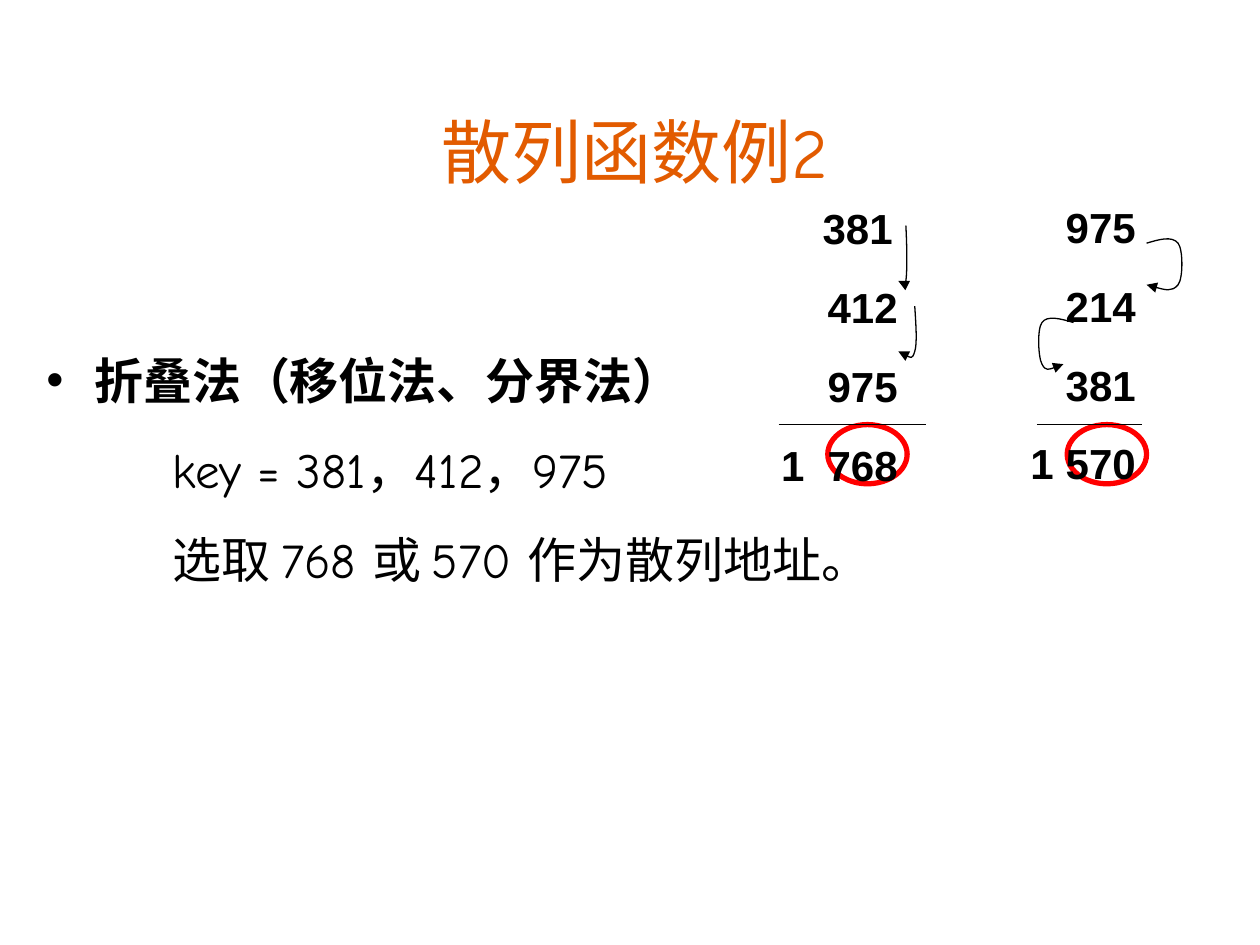
"""Build the slide on folding as a hash function, with two worked sums."""
from lxml.etree import SubElement
from pptx import Presentation
from pptx.dml.color import RGBColor
from pptx.enum.shapes import MSO_CONNECTOR as Connector, MSO_SHAPE as Shape
from pptx.enum.text import MSO_ANCHOR as Anchor, MSO_AUTO_SIZE as AutoSize, PP_ALIGN as Align
from pptx.oxml.ns import qn
from pptx.util import Inches, Pt


def color(value):
    """Turn a hex string into a colour."""
    return RGBColor.from_string(value)


def write(para, text, size=24, font="Arial", fill="000000", bold=False,
          before=0, align=Align.LEFT, margin=0, indent=0, bullet=None):
    """Write one formatted paragraph."""
    props = para._p.get_or_add_pPr()
    props.set("marL", str(Inches(margin)))
    props.set("indent", str(Inches(indent)))
    if bullet:
        SubElement(props, qn("a:buFont")).set("typeface", "Arial")
        SubElement(props, qn("a:buChar")).set("char", bullet)
    para.alignment = align
    para.space_before = Pt(before)
    span = para.add_run()
    span.text = text
    span.font.size = Pt(size)
    span.font.name = font
    span.font.bold = bold
    span.font.color.rgb = color(fill)


deck = Presentation()
deck.slide_width, deck.slide_height = Inches(10), Inches(7.5)
page = deck.slides.add_slide(deck.slide_layouts[5])
shapes = page.shapes

title = shapes.title
title.left, title.top = Inches(0.75), Inches(0.75)
title.width, title.height = Inches(8.58), Inches(0.83)
title.text_frame.auto_size = AutoSize.NONE
title.text_frame.vertical_anchor = Anchor.BOTTOM
write(title.text_frame.paragraphs[0], "散列函数例2", size=40,
      font="Comic Neue", fill="E25B00", align=Align.CENTER)

body = shapes.add_textbox(Inches(0.27), Inches(2.73), Inches(9.73), Inches(4.95))
frame = body.text_frame
frame.word_wrap = True
write(frame.paragraphs[0], "折叠法（移位法、分界法）", size=28, font="Comic Neue",
      bold=True, margin=0.38, indent=-0.38, bullet="•")
for text in ("key = 381，412，975", "选取 768 或 570 作为散列地址。"):
    write(frame.add_paragraph(), text, size=28, font="Comic Neue",
          before=17.5, margin=1.25, indent=-0.25)

for left in (6.57, 8.47):
    ring = shapes.add_shape(Shape.OVAL, Inches(left), Inches(3.37), Inches(0.63), Inches(0.47))
    ring.shadow.inherit = False
    ring.fill.solid()
    ring.fill.fore_color.rgb = color("FFFFFF")
    ring.line.color.rgb = color("FF0000")
    ring.line.width = Pt(3)

sums = [
    (6.1, 1.56, 2.15, ["381", "412", "975", "1\t768"], [0.33, 0.37, 0.37, 0.37], 0.37),
    (7.99, 1.55, 1.54, ["975", "214", "381", "1\t570"], [0.37] * 4, 0.28),
]
for left, top, width, rows, margins, hang in sums:
    box = shapes.add_textbox(Inches(left), Inches(top), Inches(width), Inches(2.33))
    frame = box.text_frame
    frame.word_wrap = True
    for index, (text, margin) in enumerate(zip(rows, margins)):
        para = frame.add_paragraph() if index else frame.paragraphs[0]
        write(para, text, bold=True, before=16.2 if index else 0,
              margin=margin, indent=-hang if "\t" in text else 0)

for start, end in ((8.23, 9.06), (6.18, 7.35)):
    rule = shapes.add_connector(Connector.STRAIGHT, Inches(start), Inches(3.37),
                                Inches(end), Inches(3.37))
    rule.line.color.rgb = color("000000")
    rule.line.width = Pt(0.75)
    SubElement(rule._element.spPr, qn("a:effectLst"))

curves = [
    [(7.19, 1.79), (7.2, 1.98), (7.2, 2.16), (7.19, 2.23),
     (7.18, 2.3), (7.15, 2.27), (7.13, 2.23)],
    [(7.26, 2.43), (7.27, 2.58), (7.28, 2.73), (7.26, 2.79),
     (7.24, 2.86), (7.18, 2.82), (7.13, 2.79)],
    [(9.1, 1.93), (9.2, 1.9), (9.3, 1.87), (9.35, 1.93), (9.39, 1.98),
     (9.39, 2.21), (9.35, 2.26), (9.3, 2.32), (9.2, 2.29), (9.1, 2.26)],
    [(8.52, 2.56), (8.42, 2.53), (8.31, 2.5), (8.27, 2.56), (8.23, 2.61),
     (8.24, 2.84), (8.27, 2.89), (8.3, 2.95), (8.37, 2.92), (8.44, 2.89)],
]
for points in curves:
    start, *rest = [(Inches(x), Inches(y)) for x, y in points]
    builder = shapes.build_freeform(*start)
    builder.add_line_segments(rest, close=False)
    arrow = builder.convert_to_shape()
    outline = arrow._element.spPr.find(".//" + qn("a:path"))
    segments = outline.findall(qn("a:lnTo"))
    for first in range(0, len(segments), 3):
        bend = SubElement(outline, qn("a:cubicBezTo"))
        for segment in segments[first:first + 3]:
            bend.append(segment[0])
            outline.remove(segment)
    arrow.shadow.inherit = False
    arrow.fill.background()
    arrow.line.color.rgb = color("000000")
    arrow.line.width = Pt(0.75)
    SubElement(arrow.line._get_or_add_ln(), qn("a:tailEnd")).set("type", "triangle")

deck.save("out.pptx")
